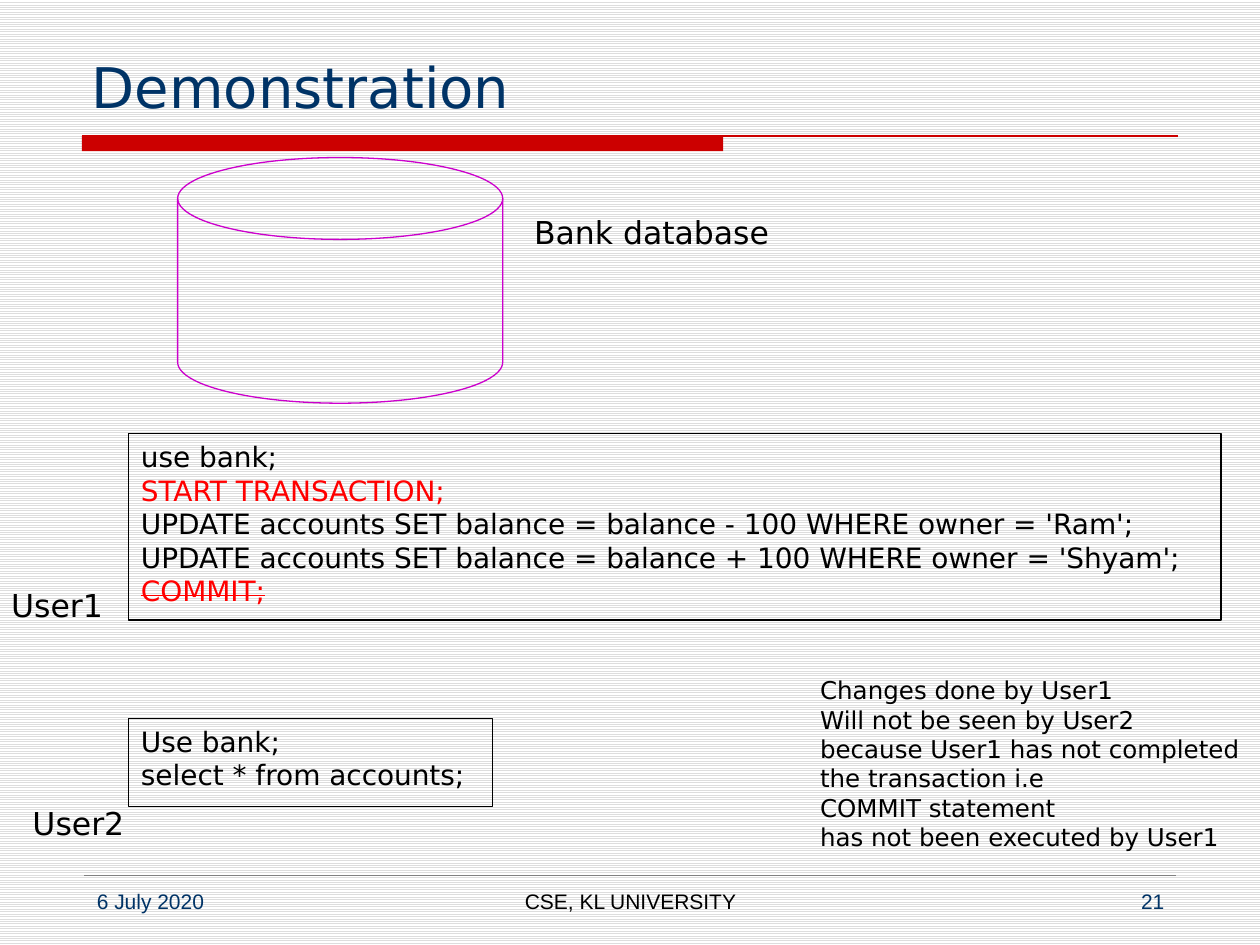
from lxml import etree
from pptx import Presentation
from pptx.dml.color import RGBColor
from pptx.enum.dml import MSO_PATTERN
from pptx.enum.shapes import MSO_CONNECTOR, MSO_SHAPE
from pptx.enum.text import MSO_ANCHOR, MSO_AUTO_SIZE, PP_ALIGN
from pptx.oxml.ns import qn
from pptx.util import Inches, Pt

LEFT, CENTER, RIGHT = PP_ALIGN.LEFT, PP_ALIGN.CENTER, PP_ALIGN.RIGHT
TOP, BOTTOM = MSO_ANCHOR.TOP, MSO_ANCHOR.BOTTOM
FIT_SHAPE, NO_FIT = MSO_AUTO_SIZE.SHAPE_TO_FIT_TEXT, MSO_AUTO_SIZE.NONE
RECTANGLE, DISK = MSO_SHAPE.RECTANGLE, MSO_SHAPE.FLOWCHART_MAGNETIC_DISK
STRAIGHT = MSO_CONNECTOR.STRAIGHT
LIGHT_HORIZONTAL = MSO_PATTERN.LIGHT_HORIZONTAL

COLUMNS, ROWS = 100, 75
BODY_FONT, FOOTER_FONT = "DejaVu Sans", "Arial"
BLACK, WHITE, NAVY, RED = "000000", "FFFFFF", "003366", "CC0000"
ALERT, PURPLE, GRAY, STRIPE = "FF0000", "CC00CC", "808080", "DDDDDD"


def color(value):
    return RGBColor.from_string(value)


def write(frame, lines, size=18, font=BODY_FONT, ink=BLACK, align=LEFT,
          anchor=TOP, wrap=True, fit=NO_FIT, inks=None, struck=()):
    frame.word_wrap = wrap
    frame.auto_size = fit
    frame.vertical_anchor = anchor
    for index, line in enumerate(lines):
        para = frame.add_paragraph() if index else frame.paragraphs[0]
        para.alignment = align
        span = para.add_run()
        span.text = line
        span.font.size = Pt(size)
        span.font.name = font
        span.font.color.rgb = color((inks or {}).get(index, ink))
        if index in struck:
            span._r.get_or_add_rPr().set("strike", "sngStrike")


class SlideBuilder:
    def __init__(self, deck):
        self.deck = deck
        self.page = deck.slides.add_slide(deck.slide_layouts[6])

    def place(self, *lengths):
        column = self.deck.slide_width / COLUMNS
        row = self.deck.slide_height / ROWS
        return [round(length * (row if index % 2 else column))
                for index, length in enumerate(lengths)]

    def background(self, front, back):
        fill = self.page.background.fill
        fill.patterned()
        fill.pattern = LIGHT_HORIZONTAL
        fill.fore_color.rgb = color(front)
        fill.back_color.rgb = color(back)

    def text(self, area, lines, **style):
        box = self.page.shapes.add_textbox(*self.place(*area))
        write(box.text_frame, lines, **style)

    def label(self, area, lines, **style):
        self.text(area, lines, wrap=False, fit=FIT_SHAPE, **style)

    def shape(self, kind, area, fill=None, line=None, lines=(), **style):
        shape = self.page.shapes.add_shape(kind, *self.place(*area))
        shape.shadow.inherit = False
        if fill:
            shape.fill.solid()
            shape.fill.fore_color.rgb = color(fill)
        else:
            shape.fill.background()
        if line:
            shape.line.color.rgb = color(line)
            shape.line.width = Pt(0.75)
        else:
            shape.line.fill.background()
        if lines:
            write(shape.text_frame, lines, **style)

    def rule(self, left, right, row, ink, width):
        line = self.page.shapes.add_connector(
            STRAIGHT, *self.place(left, row, right, row))
        line.line.color.rgb = color(ink)
        line.line.width = Pt(width)
        etree.SubElement(line._element.spPr, qn("a:effectLst"))


def main():
    deck = Presentation()
    deck.slide_width, deck.slide_height = Inches(10), Inches(7.5)
    slide = SlideBuilder(deck)
    slide.background(STRIPE, WHITE)

    slide.shape(RECTANGLE, (6.5, 10.8, 50.9, 1.2), fill=RED)
    slide.rule(6.5, 93.5, 10.8, RED, 0.75)
    slide.rule(6.7, 93.3, 69.5, GRAY, 0.25)
    slide.text((6.3, 1.7, 87.5, 8.3), ["Demonstration"],
               size=32, ink=NAVY, anchor=BOTTOM)

    footers = [(6.7, 21.7, "6 July 2020", NAVY, LEFT),
               (34.2, 31.7, "CSE, KL UNIVERSITY", BLACK, CENTER),
               (71.7, 21.7, "21", NAVY, RIGHT)]
    for left, width, words, ink, align in footers:
        slide.text((left, 70, width, 3.5), [words], size=12,
                   font=FOOTER_FONT, ink=ink, align=align)

    slide.shape(DISK, (14.1, 12.5, 25.8, 19.5), line=PURPLE)
    slide.label((41.4, 16.4, 20.7, 4), ["Bank database"])

    slide.label((-0.1, 46, 9.4, 4), ["User1"])
    slide.shape(RECTANGLE, (10.2, 34.4, 86.7, 14.8), line=BLACK, size=16,
                inks={1: ALERT, 4: ALERT}, struck={4}, lines=[
                    "use bank;",
                    "START TRANSACTION;",
                    "UPDATE accounts SET balance = balance - 100 WHERE owner = 'Ram';",
                    "UPDATE accounts SET balance = balance + 100 WHERE owner = 'Shyam';",
                    "COMMIT;"])

    slide.label((1.6, 63.3, 9.4, 4), ["User2"])
    slide.shape(RECTANGLE, (10.2, 57, 28.9, 7), line=BLACK, size=16,
                lines=["Use bank;", "select * from accounts;"])

    slide.label((64.1, 53.1, 36.2, 15.1), [
        "Changes done by User1",
        "Will not be seen by User2",
        "because User1 has not completed",
        "the transaction i.e",
        "COMMIT statement",
        "has not been executed by User1"], size=14)

    deck.save("out.pptx")


if __name__ == "__main__":
    main()
